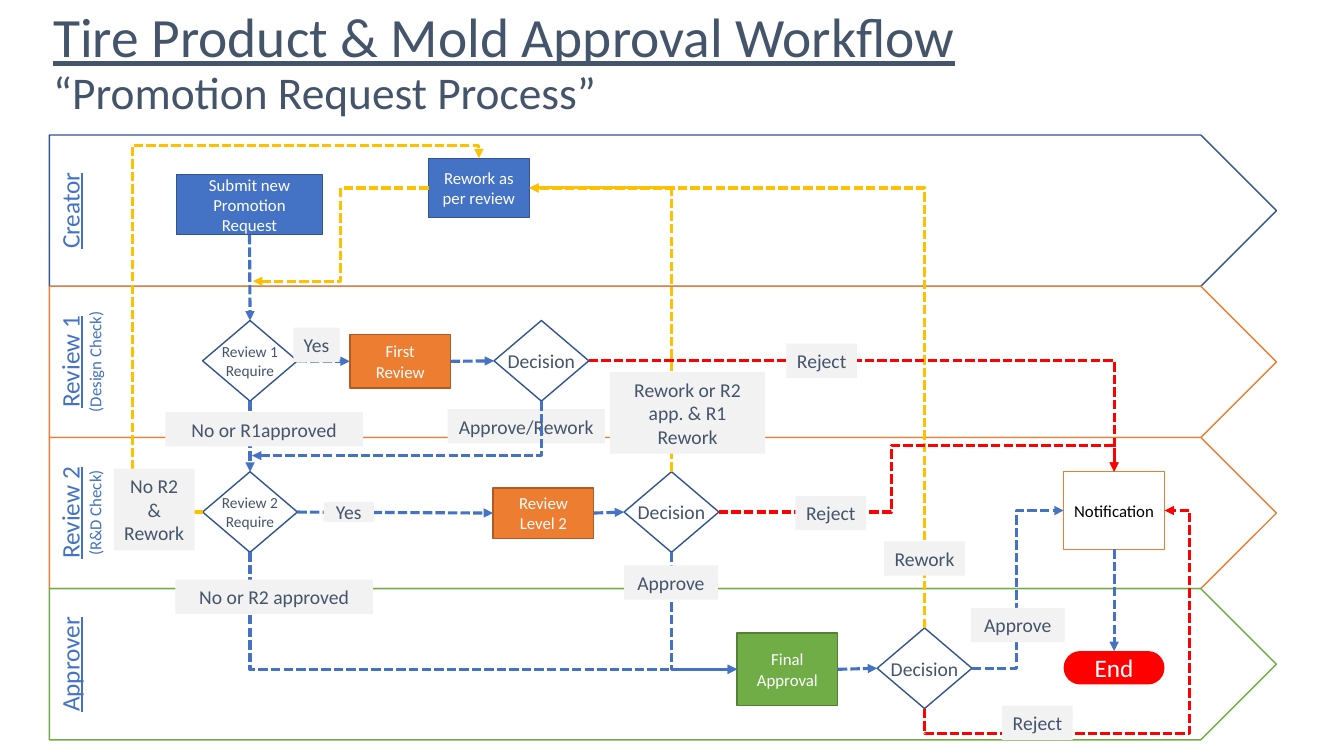
from typing import NamedTuple

from lxml.etree import SubElement
from pptx import Presentation
from pptx.dml.color import RGBColor
from pptx.enum.dml import MSO_LINE
from pptx.enum.shapes import MSO_CONNECTOR, MSO_SHAPE
from pptx.enum.text import MSO_ANCHOR, PP_ALIGN
from pptx.oxml.ns import qn
from pptx.util import Pt

PX = 9144
BLUE, NAVY, ORANGE, GREEN = "4472C4", "325491", "ED7D31", "70AD47"
RED, YELLOW, SLATE, WHITE, GREY = "FF0000", "FFC000", "44546A", "FFFFFF", "F2F2F2"
RECT, DIAMOND, END = MSO_SHAPE.RECTANGLE, MSO_SHAPE.DIAMOND, MSO_SHAPE.FLOWCHART_TERMINATOR
TOP, LEFT, BOTTOM, RIGHT = range(4)


class Lane(NamedTuple):
    name: str
    note: str
    line: str


class Step(NamedTuple):
    key: str
    text: str
    box: tuple[int, int, int, int]
    fill: str
    line: str | None
    color: str = WHITE
    size: int = 12
    kind: MSO_SHAPE = RECT


class Route(NamedTuple):
    """A line between steps; bends are None if straight, else turning positions in px."""
    start: str
    start_site: int
    end: str | tuple[int, int]
    end_site: int
    color: str
    bends: tuple[int, ...] | None = None


class Label(NamedTuple):
    text: str
    box: tuple[int, int, int, int]
    behind: bool = False


LANES = [
    Lane("Creator", "", NAVY),
    Lane("Review 1", "(Design Check)", ORANGE),
    Lane("Review 2", "(R&D Check)", ORANGE),
    Lane("Approver", "", GREEN),
]


def gate(key: str, text: str, x: int, y: int, size: int = 14) -> Step:
    """Return a decision diamond of the common size."""
    return Step(key, text, (x, y, 94, 80), WHITE, NAVY, SLATE, size, DIAMOND)


STEPS = [
    Step("submit", "Submit new Promotion Request", (175, 173, 145, 60), BLUE, NAVY),
    Step("rework", "Rework as per review", (425, 157, 100, 59), BLUE, NAVY),
    Step("first", "First Review", (347, 332, 100, 53), ORANGE, "AF5C24"),
    Step("second", "Review\nLevel 2", (489, 484, 100, 50), ORANGE, "AF5C24"),
    Step("final", "Final\nApproval", (731, 628, 100, 72), GREEN, "538035"),
    Step("notify", "Notification", (1055, 468, 100, 77), WHITE, ORANGE, "000000"),
    Step("end", "End", (1055, 646, 100, 33), RED, None, WHITE, 18, END),
    gate("need1", "Review 1\nRequire", 201, 318, 11),
    gate("need2", "Review 2\nRequire", 201, 468, 11),
    gate("decide1", "Decision", 490, 318),
    gate("decide2", "Decision", 619, 468),
    gate("decide3", "Decision", 870, 623),
]

ROUTES = [
    Route("submit", BOTTOM, "need1", TOP, BLUE),
    Route("need1", RIGHT, "first", LEFT, BLUE),
    Route("need1", BOTTOM, "need2", TOP, BLUE),
    Route("need2", RIGHT, "second", LEFT, BLUE),
    Route("rework", LEFT, (251, 279), TOP, YELLOW, (338,)),
    Route("decide2", BOTTOM, "final", LEFT, BLUE, ()),
    Route("decide3", RIGHT, "notify", LEFT, BLUE, (1008,)),
    Route("decide3", TOP, "rework", RIGHT, YELLOW, ()),
    Route("need2", BOTTOM, "final", LEFT, BLUE, ()),
    Route("decide2", RIGHT, "notify", TOP, RED, (884, 442)),
    Route("decide1", RIGHT, "notify", TOP, RED, ()),
    Route("notify", BOTTOM, "end", TOP, BLUE),
    Route("decide2", TOP, "rework", RIGHT, YELLOW, ()),
    Route("decide3", BOTTOM, "notify", RIGHT, RED, (728, 1180)),
    Route("decide1", BOTTOM, (250, 452), RIGHT, BLUE, ()),
    Route("final", RIGHT, "decide3", LEFT, BLUE),
    Route("second", RIGHT, "decide2", LEFT, BLUE),
    Route("first", RIGHT, "decide1", LEFT, BLUE),
    Route("need2", LEFT, "rework", TOP, YELLOW, (131, 144)),
]

LABELS = [
    Label("Approve/Rework", (444, 406, 156, 34), behind=True),
    Label("Yes", (291, 325, 46, 34)),
    Label("Yes", (321, 498, 50, 20)),
    Label("No or R1approved", (164, 409, 196, 34)),
    Label("No or R2 approved", (174, 575, 196, 34)),
    Label("No R2 & Rework", (113, 465, 80, 81)),
    Label("Rework or R2 app. & R1 Rework", (605, 369, 154, 81)),
    Label("Rework", (877, 537, 80, 34)),
    Label("Approve", (619, 561, 93, 34)),
    Label("Approve", (963, 603, 93, 34)),
    Label("Reject", (780, 341, 70, 34)),
    Label("Reject", (789, 492, 70, 34)),
    Label("Reject", (994, 700, 70, 34)),
]


def rgb(value: str) -> RGBColor:
    """Turn a hex string into a colour."""
    return RGBColor.from_string(value)


def write(sp, text: str, *, sizes: tuple[float, ...], color: str, underline: bool = False,
          align=PP_ALIGN.CENTER, anchor=MSO_ANCHOR.MIDDLE, wrap: bool = True,
          spacing: float = 1.0) -> None:
    """Write lines as paragraphs, underlining only the first; the last size repeats."""
    tf = sp.text_frame
    tf.word_wrap = wrap
    tf.vertical_anchor = anchor
    for i, line in enumerate(text.split("\n")):
        p = tf.add_paragraph() if i else tf.paragraphs[0]
        p.alignment, p.line_spacing = align, spacing
        r = p.add_run()
        r.text = line
        r.font.name, r.font.size = "Calibri", Pt(sizes[min(i, len(sizes) - 1)])
        r.font.color.rgb = rgb(color)
        r.font.underline = underline and i == 0


def add_box(s, kind, box: tuple[int, int, int, int], fill: str, line: str | None = None):
    """Add a flat preset shape."""
    sp = s.shapes.add_shape(kind, *(v * PX for v in box))
    sp.shadow.inherit = False
    sp.fill.solid()
    sp.fill.fore_color.rgb = rgb(fill)
    if line:
        sp.line.color.rgb, sp.line.width = rgb(line), Pt(1)
    else:
        sp.line.fill.background()
    return sp


def add_lane(s, lane: Lane, index: int) -> None:
    """Add one swim lane with its name reading upwards."""
    sp = add_box(s, MSO_SHAPE.PENTAGON, (49, 134 + 150 * index, 1217, 150), WHITE, lane.line)
    text = f"{lane.name}\n{lane.note}" if lane.note else lane.name
    write(sp, text, sizes=(18, 12), color=BLUE, underline=True, anchor=MSO_ANCHOR.TOP)
    sp.text_frame._txBody.bodyPr.set("vert", "vert270")


def add_step(s, step: Step):
    """Add one process step."""
    sp = add_box(s, step.kind, step.box, step.fill, step.line)
    write(sp, step.text, sizes=(step.size,), color=step.color, wrap=step.kind == RECT)
    return sp


def add_label(s, label: Label) -> None:
    """Add a grey caption; a single word never wraps."""
    sp = add_box(s, RECT, label.box, GREY)
    write(sp, label.text, sizes=(14,), color=SLATE, wrap=" " in label.text)


def bend(c, site: int, bends: tuple[int, ...]) -> None:
    """Shape an elbow connector so that it leaves its site and turns at the bends."""
    start, end = (c.begin_x, c.begin_y), (c.end_x, c.end_y)
    dx, dy = end[0] - start[0], end[1] - start[1]
    upright = site in (TOP, BOTTOM)
    w, h = (abs(dy), abs(dx)) if upright else (abs(dx), abs(dy))
    flips = (dy < 0, dx > 0) if upright else (dx < 0, dy < 0)
    turn = 90 if upright else 0
    if dx * dy > 0 if upright else site == LEFT:
        turn, flips = turn + 180, (not flips[0], not flips[1])
    c.left, c.top = (start[0] + end[0] - w) // 2, (start[1] + end[1] - h) // 2
    c.width, c.height = w, h
    spPr = c.element.spPr
    xfrm = spPr.find(qn("a:xfrm"))
    for name, value in (("rot", turn * 60000), ("flipH", int(flips[0])), ("flipV", int(flips[1]))):
        xfrm.set(name, str(value))
    geom = spPr.find(qn("a:prstGeom"))
    geom.set("prst", f"bentConnector{len(bends) + 2}")
    for i, at in enumerate(bends):
        axis = (i + upright) % 2
        ratio = (at * PX - start[axis]) / (end[axis] - start[axis])
        SubElement(geom.find(qn("a:avLst")), qn("a:gd"), name=f"adj{i + 1}",
                   fmla=f"val {round(ratio * 100000)}")


def add_route(s, route: Route, steps: dict) -> None:
    """Add a dashed arrow attached to the steps it joins."""
    kind = MSO_CONNECTOR.STRAIGHT if route.bends is None else MSO_CONNECTOR.ELBOW
    x, y = route.end if isinstance(route.end, tuple) else (0, 0)
    c = s.shapes.add_connector(kind, 0, 0, x * PX, y * PX)
    c.begin_connect(steps[route.start], route.start_site)
    if isinstance(route.end, str):
        c.end_connect(steps[route.end], route.end_site)
    if route.bends is not None:
        bend(c, route.start_site, route.bends)
    c.line.color.rgb, c.line.width = rgb(route.color), Pt(2.25)
    c.line.dash_style = MSO_LINE.SQUARE_DOT
    SubElement(c.line._get_or_add_ln(), qn("a:tailEnd"), type="triangle")
    SubElement(c.element.spPr, qn("a:effectLst"))


def main() -> None:
    """Build the workflow slide."""
    prs = Presentation()
    prs.slide_width, prs.slide_height = 1333 * PX, 750 * PX
    s = prs.slides.add_slide(prs.slide_layouts[6])
    title = s.shapes.add_textbox(43 * PX, 19 * PX, 1150 * PX, 90 * PX)
    write(title, "Tire Product & Mold Approval Workflow\n“Promotion Request Process”",
          sizes=(39.6, 32.4), color=SLATE, underline=True, align=PP_ALIGN.LEFT, spacing=0.9)
    for i, lane in enumerate(LANES):
        add_lane(s, lane, i)
    steps = {step.key: add_step(s, step) for step in STEPS}
    for label in filter(lambda item: item.behind, LABELS):
        add_label(s, label)
    for route in ROUTES:
        add_route(s, route, steps)
    for label in filter(lambda item: not item.behind, LABELS):
        add_label(s, label)
    prs.save("out.pptx")


if __name__ == "__main__":
    main()
